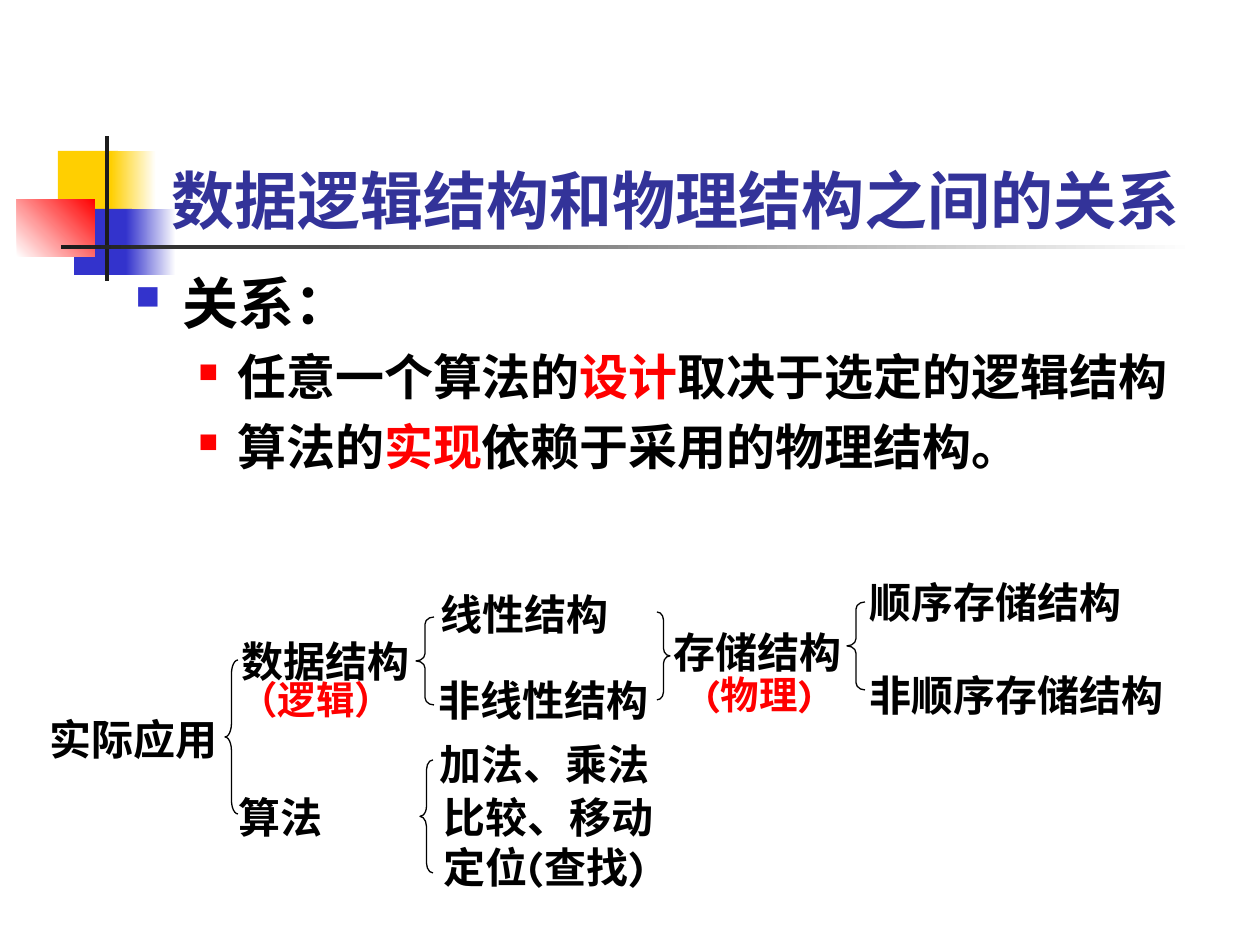
from lxml.etree import SubElement
from pptx import Presentation
from pptx.dml.color import RGBColor
from pptx.enum.shapes import MSO_SHAPE
from pptx.enum.text import MSO_ANCHOR, PP_ALIGN
from pptx.oxml.ns import qn
from pptx.util import Pt

PX = 914400 // 126
FONT = "Karla"
COLORS = {
    "yellow": "FFCF01", "blue": "3333CC", "red": "FF0000", "dark": "1C1C1C",
    "title": "333399", "black": "000000", "white": "FFFFFF",
}

# left, top, width, height, start colour, end colour, angle
DECORATIONS = [
    (58, 151, 60, 66, "yellow", None, 0),
    (111, 151, 45, 66, "yellow", "white", 0),
    (74, 209, 58, 66, "blue", None, 0),
    (126, 209, 50, 66, "blue", "white", 0),
    (17, 199, 78, 58, "white", "red", 45),
    (105, 136, 4, 145, "dark", None, 0),
    (61, 245, 1134, 4, "dark", "white", 0),
]

# bullet colour, bullet percent, left margin, hanging indent, size, runs
BODY = [
    ("blue", 60, 47, 47, 32, [("关系：", "black")]),
    ("red", 55, 102, 39, 28, [("任意一个算法的", "black"), ("设计", "red"),
                              ("取决于选定的逻辑结构", "black")]),
    ("red", 55, 102, 39, 28, [("算法的", "black"), ("实现", "red"),
                              ("依赖于采用的物理结构。", "black")]),
]

# text, left, top, width
TERMS = [
    ("实际应用", 37, 707, 195),
    ("算法", 226, 785, 195),
    ("数据结构", 229, 629, 195),
    ("线性结构", 428, 582, 195),
    ("非线性结构", 426, 668, 244),
    ("存储结构", 661, 620, 195),
    ("顺序存储结构", 857, 570, 281),
    ("非顺序存储结构", 857, 663, 339),
    ("加法、乘法", 427, 732, 237),
    ("比较、移动", 431, 785, 237),
    ("定位(查找)", 431, 835, 306),
]
REMARKS = [("（逻辑）", 227, 670, 180), ("(物理)", 693, 665, 137)]

# shape, left, top, width, height, curve
BRACES = [
    (MSO_SHAPE.LEFT_BRACE, 225, 660, 13, 154, 1.05),
    (MSO_SHAPE.LEFT_BRACE, 416, 617, 18, 88, 0.4),
    (MSO_SHAPE.RIGHT_BRACE, 657, 612, 13, 88, 0.6),
    (MSO_SHAPE.LEFT_BRACE, 420, 760, 13, 113, 0.77),
    (MSO_SHAPE.LEFT_BRACE, 847, 602, 18, 88, 0.4),
]


def rgb(name):
    return RGBColor.from_string(COLORS[name])


def scaled(*lengths):
    return [length * PX for length in lengths]


def format_run(run, size, color):
    run.font.name = FONT
    run.font.size = Pt(size)
    run.font.bold = True
    run.font.color.rgb = rgb(color)
    SubElement(run.font._element, qn("a:ea")).set("typeface", FONT)


def add_decoration(slide, left, top, width, height, start, end, angle):
    shape = slide.shapes.add_shape(
        MSO_SHAPE.RECTANGLE, *scaled(left, top, width, height))
    shape.shadow.inherit = False
    shape.line.fill.background()
    if end is None:
        shape.fill.solid()
        shape.fill.fore_color.rgb = rgb(start)
        return
    shape.fill.gradient()
    shape.fill.gradient_angle = angle
    for stop, color, position in zip(shape.fill.gradient_stops, (start, end), (0, 1)):
        stop.color.rgb = rgb(color)
        stop.position = position


def set_title(slide, text):
    """Place the title in front of the decorations."""
    title = slide.shapes.title
    title.element.getparent().append(title.element)
    title.left, title.top, title.width, title.height = scaled(159, 86, 1074, 157)
    text_frame = title.text_frame
    text_frame.text = text
    text_frame.vertical_anchor = MSO_ANCHOR.BOTTOM
    text_frame.paragraphs[0].alignment = PP_ALIGN.LEFT
    format_run(text_frame.paragraphs[0].runs[0], 36, "title")


def add_text_frame(slide, left, top, width, height):
    box = slide.shapes.add_textbox(*scaled(left, top, width, height))
    box.text_frame.word_wrap = True
    return box.text_frame


def set_bullet(paragraph, color, percent, margin, hanging):
    properties = paragraph._p.get_or_add_pPr()
    properties.set("marL", str(margin * PX))
    properties.set("indent", str(-hanging * PX))
    bullet_color = SubElement(properties, qn("a:buClr"))
    SubElement(bullet_color, qn("a:srgbClr")).set("val", COLORS[color])
    SubElement(properties, qn("a:buSzPct")).set("val", str(percent * 1000))
    SubElement(properties, qn("a:buChar")).set("char", "■")


def add_body(slide):
    text_frame = add_text_frame(slide, 123, 262, 1110, 567)
    for index, (color, percent, margin, hanging, size, runs) in enumerate(BODY):
        paragraph = text_frame.add_paragraph() if index else text_frame.paragraphs[0]
        paragraph.level = 1 if index else 0
        paragraph.space_before = Pt(6.5)
        set_bullet(paragraph, color, percent, margin, hanging)
        for text, run_color in runs:
            run = paragraph.add_run()
            run.text = text
            format_run(run, size, run_color)


def add_label(slide, text, left, top, width, height, size, color):
    text_frame = add_text_frame(slide, left, top, width, height)
    text_frame.text = text
    format_run(text_frame.paragraphs[0].runs[0], size, color)


def add_brace(slide, kind, left, top, width, height, curve):
    brace = slide.shapes.add_shape(kind, *scaled(left, top, width, height))
    brace.shadow.inherit = False
    brace.adjustments[0] = curve
    brace.fill.background()
    brace.line.color.rgb = rgb("black")
    brace.line.width = Pt(0.75)


def main():
    presentation = Presentation()
    presentation.slide_width, presentation.slide_height = scaled(1260, 945)
    slide = presentation.slides.add_slide(presentation.slide_layouts[5])
    for decoration in DECORATIONS:
        add_decoration(slide, *decoration)
    set_title(slide, "数据逻辑结构和物理结构之间的关系")
    add_body(slide)
    for term in TERMS:
        add_label(slide, *term, 63, 24, "black")
    for brace in BRACES:
        add_brace(slide, *brace)
    for remark in REMARKS:
        add_label(slide, *remark, 59, 22, "red")
    presentation.save("out.pptx")


if __name__ == "__main__":
    main()
